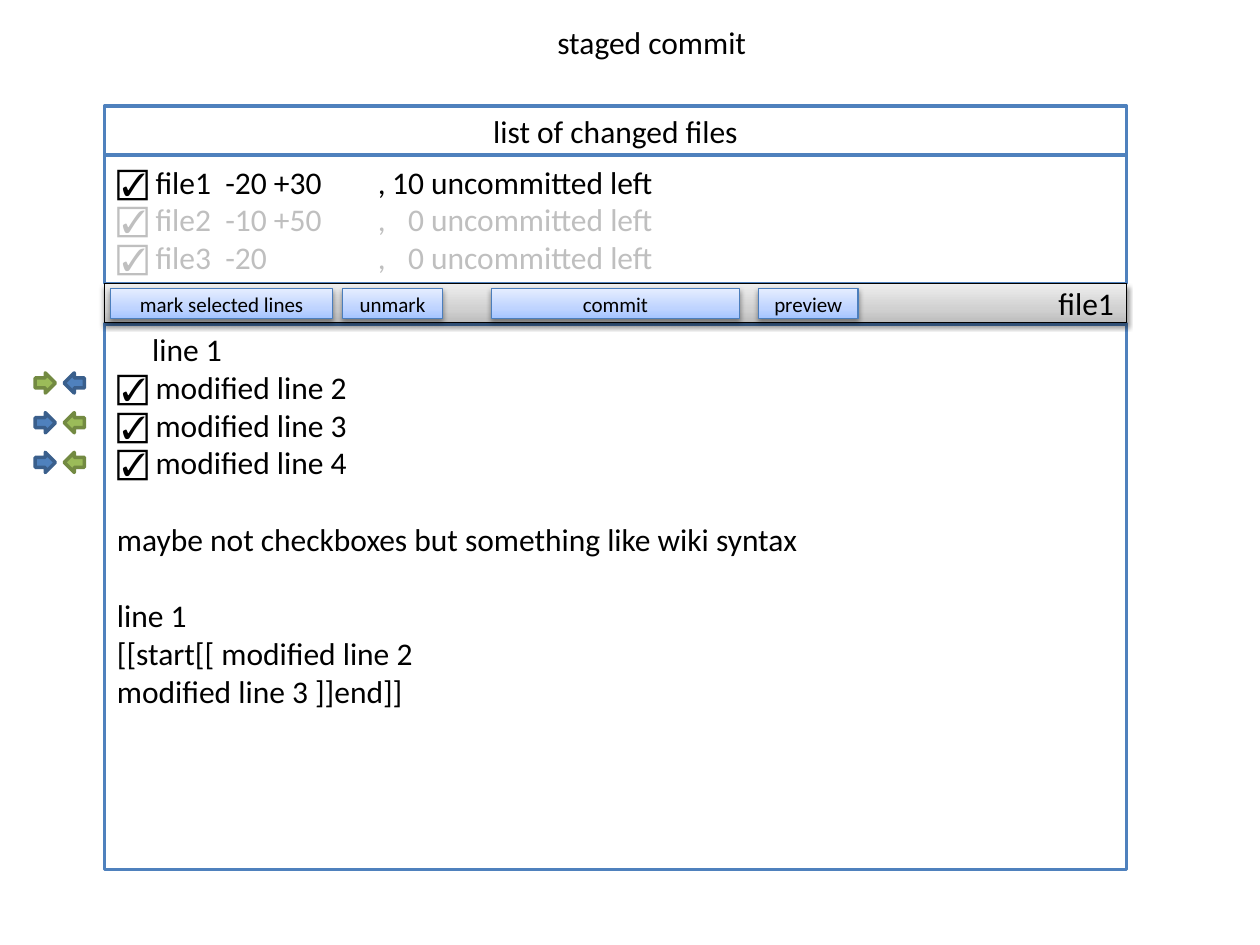
from lxml.etree import SubElement
from pptx import Presentation
from pptx.dml.color import RGBColor
from pptx.enum.shapes import MSO_SHAPE
from pptx.enum.text import MSO_ANCHOR, PP_ALIGN
from pptx.oxml import parse_xml
from pptx.oxml.ns import nsdecls, qn
from pptx.util import Inches, Pt

BLACK = RGBColor(0x00, 0x00, 0x00)
WHITE = RGBColor(0xFF, 0xFF, 0xFF)
GRAY = RGBColor(0xBF, 0xBF, 0xBF)
BLUE = RGBColor(0x4F, 0x81, 0xBD)
DARK_BLUE = RGBColor(0x3A, 0x5F, 0x8C)
BUTTON_BLUE = RGBColor(0x4B, 0x7E, 0xBC)
GREEN = RGBColor(0x9B, 0xBB, 0x59)
DARK_GREEN = RGBColor(0x73, 0x8A, 0x42)
BAR_SHADES = (RGBColor(0xBD, 0xBD, 0xBD), RGBColor(0xD1, 0xD1, 0xD1), RGBColor(0xEE, 0xEE, 0xEE))
BUTTON_SHADES = (RGBColor(0xA4, 0xC4, 0xFF), RGBColor(0xBF, 0xD4, 0xFF), RGBColor(0xE6, 0xEE, 0xFF))
SHADE_STOPS = (0, 35, 100)
WINDOW_LEFT, WINDOW_WIDTH = 0.83, 8.11
FILE_TABS = ((0.86, "l"), (2.07, "l"), (4.25, "r"))


def add_text(frame, text, size=18, color=BLACK, align=PP_ALIGN.LEFT, before=0, indent=0, tabs=()):
    para = frame.paragraphs[0]
    if para.runs:
        para = frame.add_paragraph()
    para.alignment = align
    para.space_before = Pt(before)
    properties = para._p.get_or_add_pPr()
    if indent:
        properties.set("marL", str(Inches(indent)))
    if tabs:
        tab_list = SubElement(properties, qn("a:tabLst"))
        for position, side in tabs:
            SubElement(tab_list, qn("a:tab"), pos=str(Inches(position)), algn=side)
    span = para.add_run()
    span.text = text
    span.font.name = "Calibri"
    span.font.size = Pt(size)
    span.font.color.rgb = color


def add_box(page, left, top, width, height, fill=WHITE, line=BLUE, weight=2,
            kind=MSO_SHAPE.RECTANGLE, anchor=MSO_ANCHOR.MIDDLE):
    box = page.shapes.add_shape(kind, Inches(left), Inches(top), Inches(width), Inches(height))
    box.shadow.inherit = False
    box.fill.solid()
    box.fill.fore_color.rgb = fill
    box.line.color.rgb = line
    box.line.width = Pt(weight)
    box.text_frame.word_wrap = True
    box.text_frame.vertical_anchor = anchor
    return box


def add_raised_box(page, left, top, width, height, shades, line):
    box = add_box(page, left, top, width, height, line=line, weight=0.75)
    stops = "".join(
        f'<a:gs pos="{stop * 1000}"><a:srgbClr val="{shade}"/></a:gs>'
        for stop, shade in zip(SHADE_STOPS, shades))
    gradient = parse_xml(
        f'<a:gradFill {nsdecls("a")} rotWithShape="1"><a:gsLst>{stops}</a:gsLst>'
        '<a:lin ang="16200000" scaled="0"/></a:gradFill>')
    properties = box._element.spPr
    properties.replace(properties.find(qn("a:solidFill")), gradient)
    properties.find(qn("a:effectLst")).append(parse_xml(
        f'<a:outerShdw {nsdecls("a")} blurRad="{Pt(3.1)}" dist="{Pt(1.6)}" dir="5400000" '
        'rotWithShape="0"><a:srgbClr val="000000"><a:alpha val="38000"/></a:srgbClr></a:outerShdw>'))
    return box


def add_title(page):
    box = page.shapes.add_textbox(Inches(3.74), Inches(0.13), Inches(2.28), Inches(0.4))
    box.text_frame.word_wrap = True
    add_text(box.text_frame, "staged commit", align=PP_ALIGN.RIGHT)


def add_editor(page):
    frame = add_box(page, WINDOW_LEFT, 2.57, WINDOW_WIDTH, 4.33, anchor=MSO_ANCHOR.TOP).text_frame
    add_text(frame, "line 1", indent=0.28)
    for number in (2, 3, 4):
        add_text(frame, f"☑ modified line {number}")
    add_text(frame, "maybe not checkboxes but something like wiki syntax", before=22)
    add_text(frame, "line 1", before=22)
    add_text(frame, "[[start[[ modified line 2")
    add_text(frame, "modified line 3 ]]end]]")


def add_file_list(page):
    files = add_box(page, WINDOW_LEFT, 1.23, WINDOW_WIDTH, 1.02).text_frame
    for name, changes, left_over, color in (
            ("file1", "-20 +30", 10, BLACK), ("file2", "-10 +50", 0, GRAY), ("file3", "-20", 0, GRAY)):
        add_text(files, f"☑ {name}\t{changes}\t,\t{left_over} uncommitted left",
                 color=color, tabs=FILE_TABS)
    header = add_box(page, WINDOW_LEFT, 0.84, WINDOW_WIDTH, 0.39)
    add_text(header.text_frame, "list of changed files", align=PP_ALIGN.CENTER)


def add_toolbar(page):
    bar = add_raised_box(page, WINDOW_LEFT, 2.25, WINDOW_WIDTH, 0.31, BAR_SHADES, BLACK)
    add_text(bar.text_frame, "file1", align=PP_ALIGN.RIGHT)
    for label, left, width in (("mark selected lines", 0.88, 1.76), ("unmark", 2.72, 0.79),
                               ("commit", 3.9, 1.97), ("preview", 6.02, 0.79)):
        button = add_raised_box(page, left, 2.29, width, 0.24, BUTTON_SHADES, BUTTON_BLUE)
        add_text(button.text_frame, label, size=12, align=PP_ALIGN.CENTER)


def add_arrows(page):
    blue, green = (BLUE, DARK_BLUE), (GREEN, DARK_GREEN)
    for row, (left_colors, right_colors) in enumerate(((blue, green), (green, blue), (green, blue))):
        top = 2.96 + 0.315 * row
        add_box(page, 0.51, top, 0.16, 0.16, *left_colors, kind=MSO_SHAPE.LEFT_ARROW)
        add_box(page, 0.28, top, 0.16, 0.16, *right_colors, kind=MSO_SHAPE.RIGHT_ARROW)


def main():
    deck = Presentation()
    deck.slide_width, deck.slide_height = Inches(10), Inches(7.5)
    page = deck.slides.add_slide(deck.slide_layouts[6])
    add_editor(page)
    add_file_list(page)
    add_toolbar(page)
    add_title(page)
    add_arrows(page)
    deck.save("out.pptx")


main()
